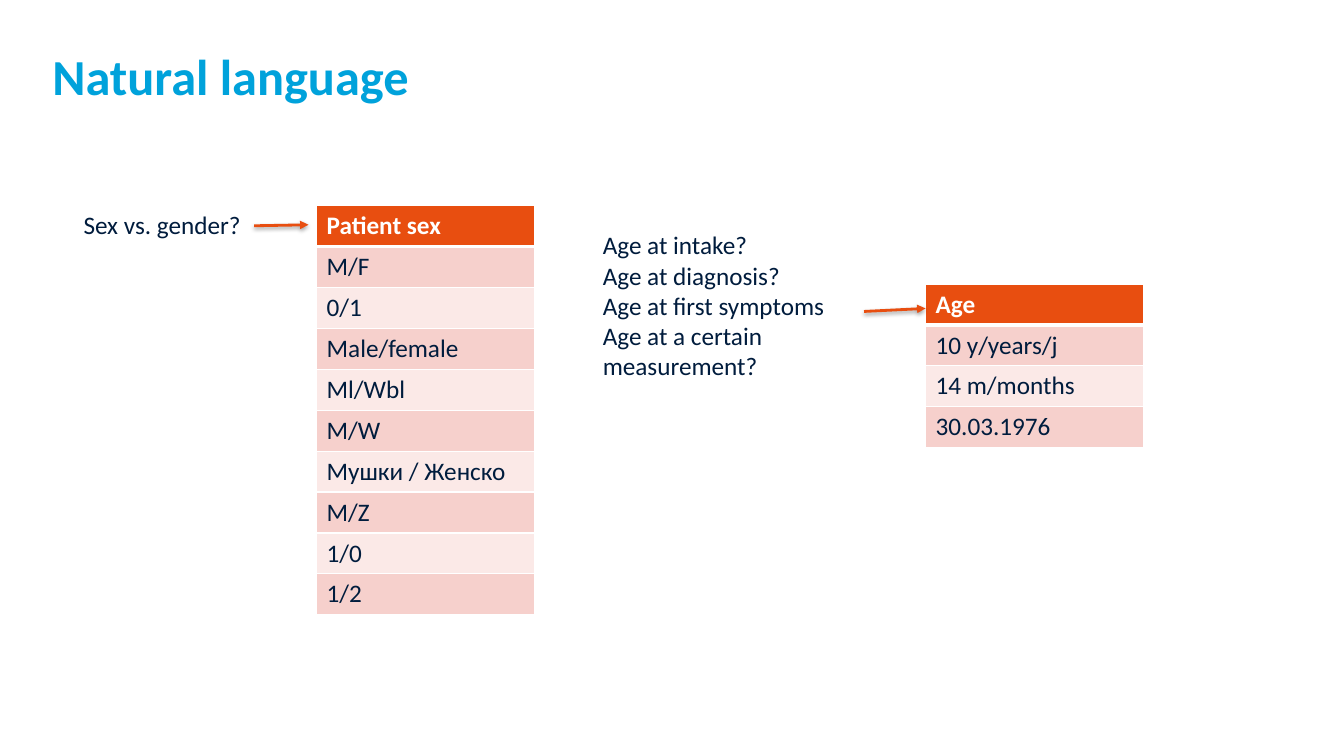
from dataclasses import dataclass

from lxml.etree import SubElement as Sub
from pptx import Presentation
from pptx.dml.color import RGBColor as Rgb
from pptx.enum.shapes import MSO_CONNECTOR as Link
from pptx.enum.text import MSO_ANCHOR as Anchor
from pptx.oxml.ns import qn
from pptx.util import Emu, Pt

SCALE = 9144  # EMU in one px, 100 px to the inch


@dataclass(frozen=True)
class Theme:
    font: str = "Calibri"
    title: str = "00A2DB"
    ink: str = "001C3D"
    white: str = "FFFFFF"
    accent: str = "E84E10"
    bands: tuple = ("F6D0CC", "FBE9E7")
    shade: str = "000000"
    head: int = 36
    body: int = 18
    thin: int = 1
    thick: int = 3
    line: int = 2


def px(*sizes):
    return [Emu(size * SCALE) for size in sizes]


def tint(parent, color):
    """Add a solid fill to an XML element."""
    fill = Sub(parent, qn("a:solidFill"))
    Sub(fill, qn("a:srgbClr"), val=color)


class Board:
    def __init__(self, deck, theme):
        self.theme = theme
        self.slide = deck.slides.add_slide(deck.slide_layouts[6])

    def add_text(self, para, text, color, size, bold=False):
        run = para.add_run()
        run.text = text
        font = run.font
        font.name, font.size, font.bold = self.theme.font, Pt(size), bold
        font.color.rgb = Rgb.from_string(color)

    def frame(self, box):
        frame = self.slide.shapes.add_textbox(*px(*box)).text_frame
        frame.word_wrap = True
        frame.vertical_anchor = Anchor.TOP
        return frame

    def title(self, box, text):
        frame = self.frame(box)
        frame.margin_left = frame.margin_right = 0
        frame.margin_top = frame.margin_bottom = 0
        self.add_text(frame.paragraphs[0], text, self.theme.title, self.theme.head, True)

    def note(self, box, *lines):
        frame = self.frame(box)
        for i, line in enumerate(lines):
            para = frame.add_paragraph() if i else frame.paragraphs[0]
            self.add_text(para, line, self.theme.ink, self.theme.body)

    def edge(self, cell, row):
        """Draw white borders, with a thick one below the header."""
        style = self.theme
        props = cell._tc.get_or_add_tcPr()
        thick = {0: "B", 1: "T"}.get(row)
        for side in "LRTB":
            width = style.thick if side == thick else style.thin
            tint(Sub(props, qn(f"a:ln{side}"), w=str(Pt(width))), style.white)

    def table(self, box, head, *values):
        style = self.theme
        grid = self.slide.shapes.add_table(len(values) + 1, 1, *px(*box)).table
        grid.horz_banding = False
        for row, text in enumerate((head, *values)):
            cell = grid.cell(row, 0)
            self.edge(cell, row)
            fill = style.bands[(row - 1) % 2] if row else style.accent
            cell.fill.solid()
            cell.fill.fore_color.rgb = Rgb.from_string(fill)
            color = style.ink if row else style.white
            self.add_text(cell.text_frame.paragraphs[0], text, color, style.body, row == 0)

    def arrow(self, *ends):
        style = self.theme
        link = self.slide.shapes.add_connector(Link.STRAIGHT, *px(*ends))
        link.line.width = Pt(style.line)
        link.line.color.rgb = Rgb.from_string(style.accent)
        props = link._element.spPr
        Sub(props.find(qn("a:ln")), qn("a:tailEnd"), type="triangle")
        effect = Sub(props, qn("a:effectLst"))
        shadow = Sub(effect, qn("a:outerShdw"), blurRad=str(Pt(3.1)),
                     dist=str(Pt(1.6)), dir="5400000", rotWithShape="0")
        shade = Sub(shadow, qn("a:srgbClr"), val=style.shade)
        Sub(shade, qn("a:alpha"), val="38000")


def main():
    deck = Presentation()
    deck.slide_width, deck.slide_height = px(1333, 750)
    board = Board(deck, Theme())
    board.title((52, 45, 1214, 83), "Natural language")
    board.table((314, 204, 216, 406), "Patient sex", "M/F", "0/1", "Male/female",
                "Ml/Wbl", "M/W", "Мушки / Женско", "M/Z", "1/0", "1/2")
    board.note((73, 203, 179, 40), "Sex vs. gender?")
    board.arrow(252, 224, 306, 223)
    board.table((918, 282, 216, 162), "Age", "10 y/years/j", "14 m/months", "30.03.1976")
    board.note((588, 223, 269, 163), "Age at intake?", "Age at diagnosis?",
               "Age at first symptoms", "Age at a certain measurement?")
    board.arrow(857, 309, 918, 306)
    deck.save("out.pptx")


if __name__ == "__main__":
    main()
